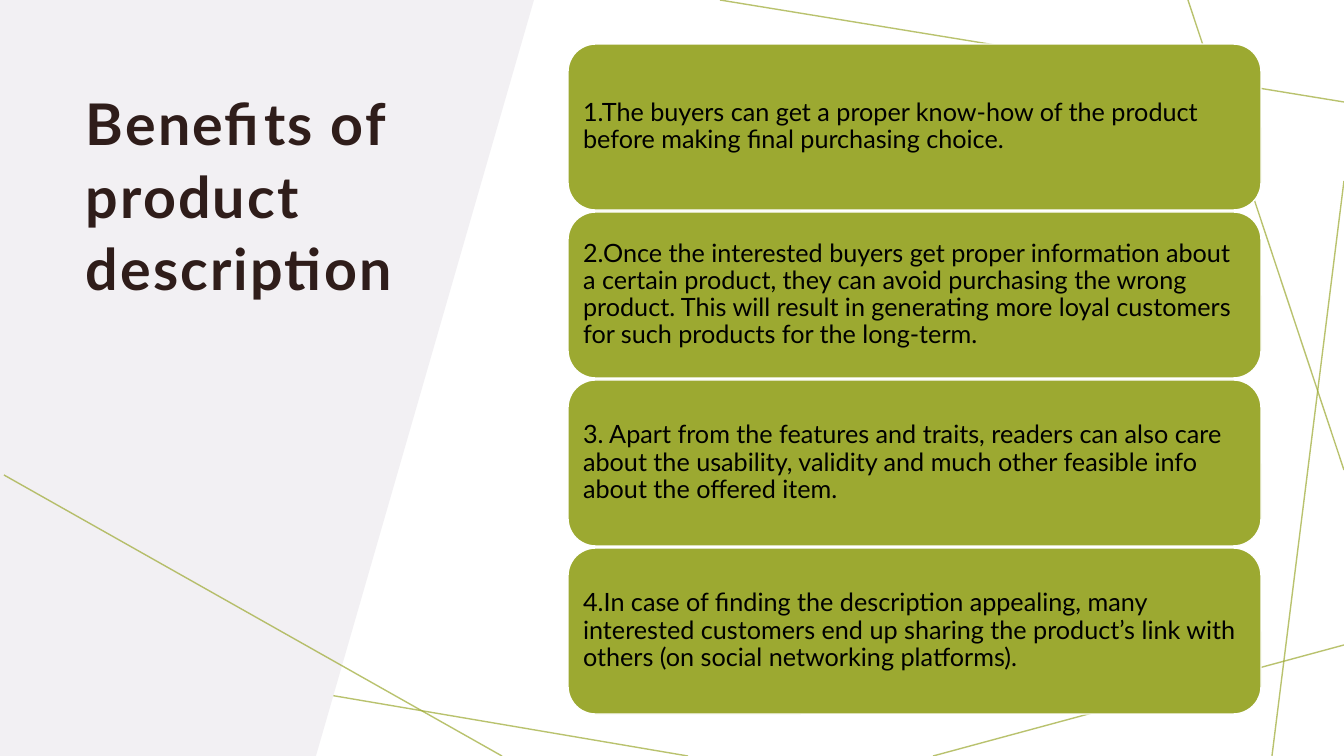
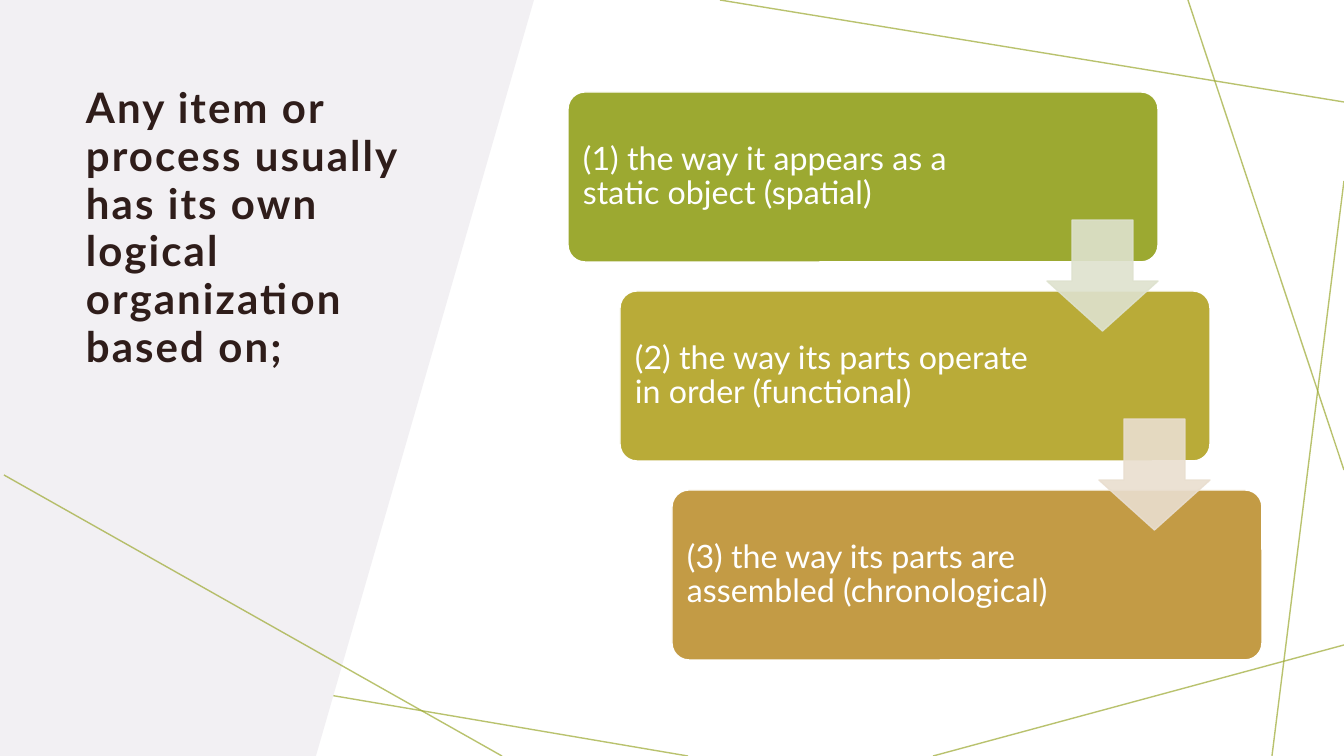
from lxml.etree import SubElement
from pptx import Presentation
from pptx.dml.color import RGBColor
from pptx.enum.shapes import MSO_CONNECTOR, MSO_SHAPE
from pptx.enum.text import MSO_ANCHOR, MSO_AUTO_SIZE, PP_ALIGN
from pptx.oxml.ns import qn
from pptx.util import Emu, Pt

SCALE = 12192000 / 1344
WIDTH, HEIGHT = 1344, 756
FONT = "Lato"
GREEN, OLIVE, OCHRE = "9CA931", "B9AB38", "C39B45"
WHITE, BLACK, TITLE_COLOR, PANEL_COLOR = "FFFFFF", "000000", "2F1D1A", "F2F0F3"

PANEL_POINTS = [(0, 0), (534, 0), (316, HEIGHT), (0, HEIGHT)]
BACK_LINES = [
    (688, HEIGHT, 0, 639),
    (WIDTH, 645, 933, HEIGHT),
    (WIDTH, 181, 1272, HEIGHT),
    (WIDTH, 470, 1188, 0),
    (WIDTH, 102, 720, 0),
]
FRONT_LINE = (4, 475, 502, HEIGHT)

BENEFITS_TITLE = "Benefits of product description"
BENEFITS = [
    "1.The buyers can get a proper know-how of the product before making final purchasing choice.",
    "2.Once the interested buyers get proper information about a certain product, they can avoid "
    "purchasing the wrong product. This will result in generating more loyal customers for such "
    "products for the long-term.",
    "3. Apart from the features and traits, readers can also care about the usability, validity "
    "and much other feasible info about the offered item.",
    "4.In case of finding the description appealing, many interested customers end up sharing "
    "the product’s link with others (on social networking platforms).",
]

STEPS_TITLE = "Any item or process usually has its own logical organization based on;"
STEPS = [
    ("(1) the way it appears as a static object (spatial)", GREEN),
    ("(2) the way its parts operate in order (functional)", OLIVE),
    ("(3) the way its parts are assembled (chronological)", OCHRE),
]
ARROW_COLORS = ["DEE2CE", "E9DECF"]


def px(value):
    return Emu(round(value * SCALE))


def color(value):
    return RGBColor.from_string(value)


def set_opacity(color_format_parent, percent):
    for element in color_format_parent.iter(qn("a:srgbClr")):
        SubElement(element, qn("a:alpha"), val=str(percent * 1000))


def add_line(slide, ends):
    line = slide.shapes.add_connector(MSO_CONNECTOR.STRAIGHT, *map(px, ends))
    line.line.color.rgb = color(GREEN)
    line.line.width = Pt(1)
    properties = line.element.spPr
    set_opacity(properties, 70)
    SubElement(properties, qn("a:effectLst"))


def add_panel(slide):
    points = [(px(x), px(y)) for x, y in PANEL_POINTS]
    builder = slide.shapes.build_freeform(*points[0])
    builder.add_line_segments(points[1:], close=True)
    panel = builder.convert_to_shape()
    panel.shadow.inherit = False
    panel.fill.solid()
    panel.fill.fore_color.rgb = color(PANEL_COLOR)
    panel.line.fill.background()


def write_text(shape, text, size, text_color, insets, anchor, spacing):
    frame = shape.text_frame
    frame.word_wrap = True
    frame.auto_size = MSO_AUTO_SIZE.NONE
    frame.vertical_anchor = anchor
    frame.margin_left, frame.margin_top, frame.margin_right, frame.margin_bottom = map(px, insets)
    paragraph = frame.paragraphs[0]
    paragraph.alignment = PP_ALIGN.LEFT
    paragraph.line_spacing = spacing
    run = paragraph.add_run()
    run.text = text
    run.font.name = FONT
    run.font.size = Pt(size)
    run.font.color.rgb = color(text_color)
    return run


def add_block(slide, preset, box, fill, line, adjustments=()):
    shape = slide.shapes.add_shape(preset, *map(px, box))
    shape.shadow.inherit = False
    for index, value in enumerate(adjustments):
        shape.adjustments[index] = value
    shape.fill.solid()
    shape.fill.fore_color.rgb = color(fill)
    shape.line.color.rgb = color(line)
    shape.line.width = Pt(1)
    return shape


def start_slide(presentation, title_text, size, spacing):
    slide = presentation.slides.add_slide(presentation.slide_layouts[5])
    for ends in BACK_LINES:
        add_line(slide, ends)
    add_panel(slide)
    title = slide.shapes.title
    title.element.getparent().append(title.element)
    title.left, title.top, title.width, title.height = map(px, (74, 73, 356, 393))
    run = write_text(title, title_text, size, TITLE_COLOR, (12, 12, 12, 10),
                     MSO_ANCHOR.TOP, spacing)
    run.font.bold = True
    run.font._element.set("spc", "150")
    add_line(slide, FRONT_LINE)
    return slide


def build_benefits(presentation):
    slide = start_slide(presentation, BENEFITS_TITLE, 41, 1.05)
    left, top, width, height, step = 568, 44, 693, 166, 168
    for index, text in enumerate(BENEFITS):
        card = add_block(slide, MSO_SHAPE.ROUNDED_RECTANGLE,
                         (left, top + index * step, width, height), GREEN, WHITE)
        write_text(card, text, 18, BLACK, (7, 7, 7, 7), MSO_ANCHOR.MIDDLE, 0.9)


def build_steps(presentation):
    slide = start_slide(presentation, STEPS_TITLE, 30, 0.95)
    left, top, width, height = 568, 92, 590, 170
    step_x, step_y, arrow_size, arrow_drop = 52, 199, 111, 128
    for index, (text, fill) in enumerate(STEPS):
        box = (left + index * step_x, top + index * step_y, width, height)
        card = add_block(slide, MSO_SHAPE.ROUNDED_RECTANGLE, box, fill, WHITE, [0.1])
        write_text(card, text, 23, WHITE, (10, 10, 175, 10), MSO_ANCHOR.MIDDLE, 0.9)
    for index, fill in enumerate(ARROW_COLORS):
        box = (left + width - arrow_size + index * step_x,
               top + arrow_drop + index * step_y, arrow_size, arrow_size)
        arrow = add_block(slide, MSO_SHAPE.DOWN_ARROW, box, fill, fill, [0.55, 0.45])
        set_opacity(arrow.element.spPr, 90)


def main():
    presentation = Presentation()
    presentation.slide_width = px(WIDTH)
    presentation.slide_height = px(HEIGHT)
    build_benefits(presentation)
    build_steps(presentation)
    presentation.save("out.pptx")


if __name__ == "__main__":
    main()
